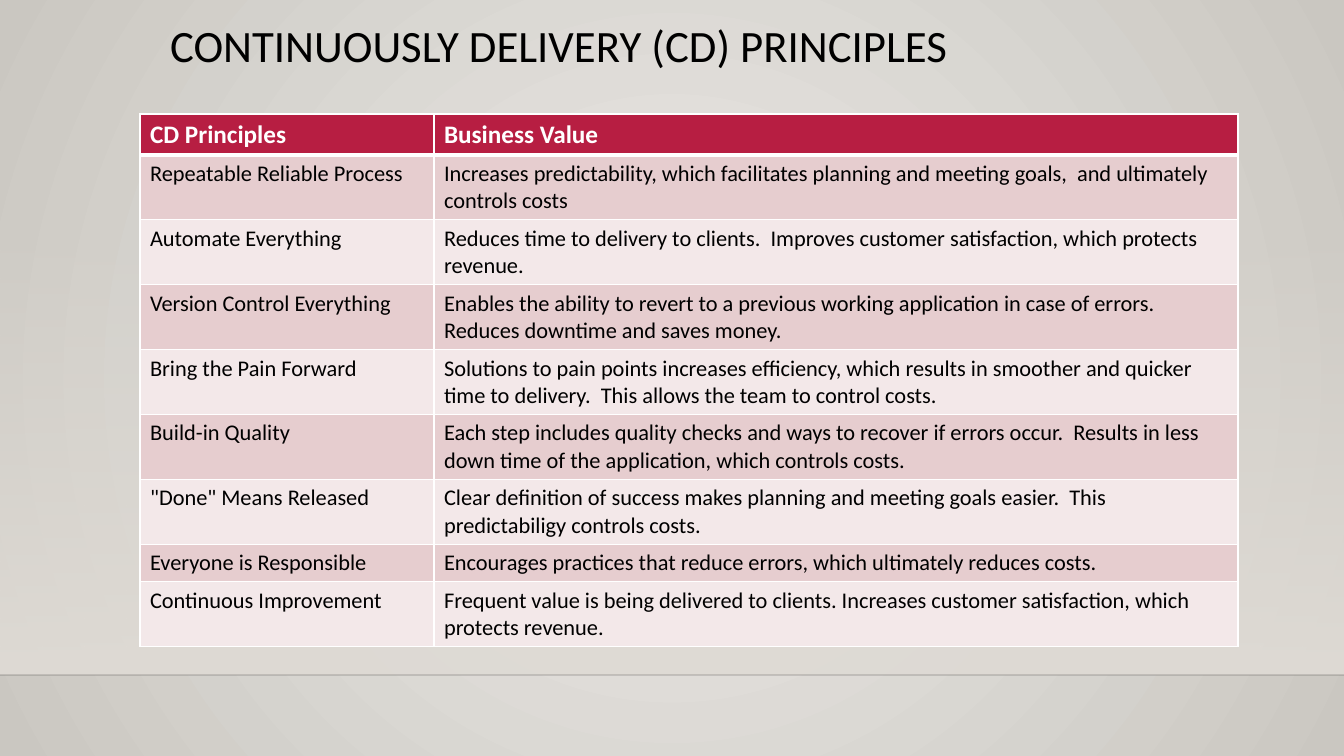
"""Builds a slide with a table of continuous delivery principles."""
from lxml import etree
from pptx import Presentation
from pptx import util as u
from pptx.dml.color import RGBColor
from pptx.enum import shapes, text
from pptx.oxml import ns

PX = 914400 / 100.8
FONT = "Calibri"
BLACK = RGBColor(0, 0, 0)
WHITE = RGBColor(255, 255, 255)
RED = RGBColor(0xB7, 0x1E, 0x42)
ROSE = RGBColor(0xE6, 0xCD, 0xCF)
PALE = RGBColor(0xF3, 0xE8, 0xE9)
LIGHT = RGBColor(0xEC, 0xEA, 0xE7)
STONE = RGBColor(0xCA, 0xC7, 0xC1)
SAND = RGBColor(0xDF, 0xDB, 0xD5)
INK = RGBColor(0, 0, 1)

HEAD = ("CD Principles", "Business Value")
ROWS = [
    ("Repeatable Reliable Process",
     "Increases predictability, which facilitates planning and meeting goals,  and ultimately controls costs"),
    ("Automate Everything",
     "Reduces time to delivery to clients.  Improves customer satisfaction, which protects revenue."),
    ("Version Control Everything",
     "Enables the ability to revert to a previous working application in case of errors.  "
     "Reduces downtime and saves money."),
    ("Bring the Pain Forward",
     "Solutions to pain points increases efficiency, which results in smoother and quicker "
     "time to delivery.  This allows the team to control costs."),
    ("Build-in Quality",
     "Each step includes quality checks and ways to recover if errors occur.  "
     "Results in less down time of the application, which controls costs."),
    ("\"Done\" Means Released",
     "Clear definition of success makes planning and meeting goals easier.  "
     "This predictabiligy controls costs."),
    ("Everyone is Responsible",
     "Encourages practices that reduce errors, which ultimately reduces costs."),
    ("Continuous Improvement",
     "Frequent value is being delivered to clients. Increases customer satisfaction, which protects revenue."),
]
COLS = (294, 804)
HEIGHTS = (41, 64, 64, 64, 64, 64, 64, 37, 64)


def px(n):
    """Turn pixels into EMU."""
    return u.Emu(round(n * PX))


def sub(node, tag, **attrs):
    """Add a child element with the given attributes."""
    return etree.SubElement(node, ns.qn(tag), attrs)


def blend(fill, first, last):
    """Give a fill a two-colour gradient."""
    fill.gradient()
    for stop, place, color in zip(fill.gradient_stops, (0, 1), (first, last)):
        stop.position = place
        stop.color.rgb = color


def add_run(para, words, size, color, bold=False):
    """Add one formatted run."""
    run = para.add_run()
    run.text = words
    font = run.font
    font.name, font.size, font.bold = FONT, u.Pt(size), bold
    font.color.rgb = color


def paint_back(slide):
    """Paint the round background gradient."""
    blend(slide.background.fill, LIGHT, STONE)
    lin = next(slide.element.iter(ns.qn("a:lin")))
    ring = sub(lin.getparent(), "a:path", path="circle")
    sub(ring, "a:fillToRect", l="50000", t="50000", r="50000", b="50000")
    lin.getparent().remove(lin)


def add_wall(slide):
    """Add the band that fades in towards the floor."""
    wall = slide.shapes.add_shape(
        shapes.MSO_SHAPE.RECTANGLE, 0, px(223), px(1344), px(452))
    wall.shadow.inherit = False
    wall.line.fill.background()
    blend(wall.fill, SAND, SAND)
    wall.fill.gradient_angle = 270
    tint = next(wall.element.iter(ns.qn("a:srgbClr")))
    sub(tint, "a:alpha", val="0")


def add_floor(slide):
    """Add the faint floor line."""
    line = slide.shapes.add_connector(
        shapes.MSO_CONNECTOR.STRAIGHT, 0, px(675), px(1344), px(675))
    line.line.width = u.Pt(1)
    line.line.color.rgb = INK
    tint = next(line.element.iter(ns.qn("a:srgbClr")))
    sub(tint, "a:alpha", val="20000")
    sub(line.element.spPr, "a:effectLst")


def set_title(slide, words):
    """Place and fill the title."""
    title = slide.shapes.title
    title.left, title.top = px(160), px(19)
    title.width, title.height = px(1058), px(116)
    frame = title.text_frame
    frame.word_wrap = True
    frame.auto_size = text.MSO_AUTO_SIZE.NONE
    frame.vertical_anchor = text.MSO_ANCHOR.TOP
    para = frame.paragraphs[0]
    para.alignment = text.PP_ALIGN.LEFT
    para.line_spacing = 0.9
    add_run(para, words, 32, BLACK)


def edge(cell, side, width):
    """Draw one white cell border."""
    line = sub(cell._tc.get_or_add_tcPr(), "a:ln" + side, w=str(u.Pt(width)))
    sub(sub(line, "a:solidFill"), "a:srgbClr", val=str(WHITE))


def fill_cell(cell, words, row):
    """Format one cell by its row."""
    top, low = 3 if row == 1 else 1, 3 if row == 0 else 1
    for side, width in zip("LRTB", (1, 1, top, low)):
        edge(cell, side, width)
    cell.fill.solid()
    para = cell.text_frame.paragraphs[0]
    if row == 0:
        cell.fill.fore_color.rgb = RED
        add_run(para, words, 18, WHITE, True)
    else:
        cell.fill.fore_color.rgb = ROSE if row % 2 else PALE
        add_run(para, words, 16, BLACK)


def add_grid(slide):
    """Add the table of principles."""
    data = [HEAD] + ROWS
    grid = slide.shapes.add_table(
        len(data), len(COLS), px(140), px(114), px(sum(COLS)), px(sum(HEIGHTS))).table
    for col, width in zip(grid.columns, COLS):
        col.width = px(width)
    for r, (line, high) in enumerate(zip(data, HEIGHTS)):
        grid.rows[r].height = px(high)
        for c, words in enumerate(line):
            fill_cell(grid.cell(r, c), words, r)


def main():
    """Build and save the slide."""
    deck = Presentation()
    deck.slide_width, deck.slide_height = px(1344), px(756)
    slide = deck.slides.add_slide(deck.slide_layouts[5])
    paint_back(slide)
    add_wall(slide)
    add_floor(slide)
    set_title(slide, "CONTINUOUSLY DELIVERY (CD) PRINCIPLES")
    add_grid(slide)
    deck.save("out.pptx")


if __name__ == "__main__":
    main()
